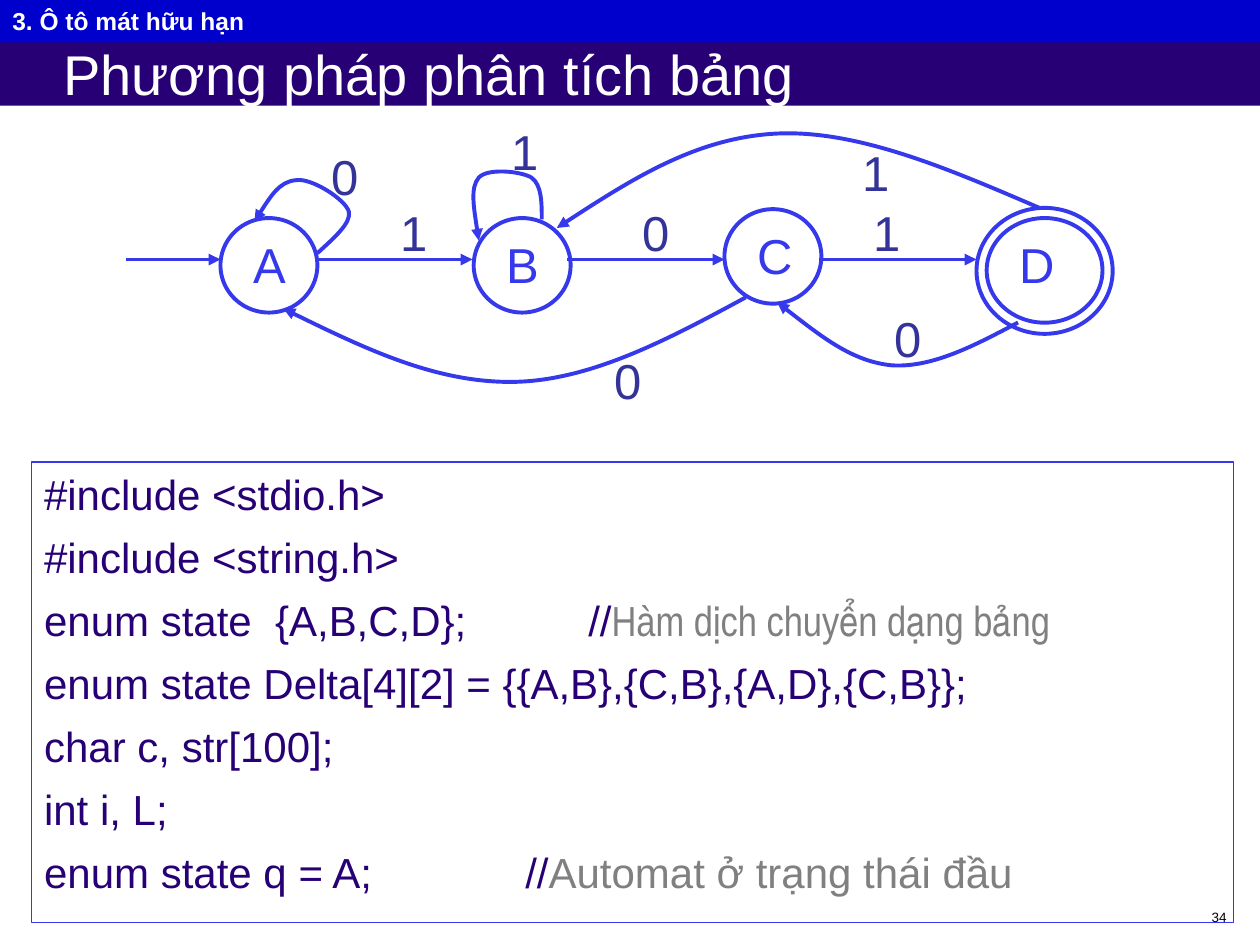
from lxml.etree import SubElement
from pptx import Presentation
from pptx.dml.color import RGBColor
from pptx.enum.shapes import MSO_CONNECTOR, MSO_SHAPE
from pptx.enum.text import MSO_ANCHOR, MSO_AUTO_SIZE, PP_ALIGN
from pptx.oxml.ns import qn
from pptx.util import Pt

COLORS = {
    "banner": "0000CC", "title_bar": "270076", "white": "FFFFFF",
    "line": "3539EB", "symbol": "333399", "code": "270076",
    "comment": "808080", "number": "000000",
}
CODE = [
    [("#include <stdio.h>", "code", "Arial")],
    [("#include <string.h>", "code", "Arial")],
    [("enum state  {A,B,C,D}; \t\t//", "code", "Arial"),
     ("Hàm dịch chuyển dạng bảng", "comment", "Arial Narrow")],
    [("enum state Delta[4][2] = {{A,B},{C,B},{A,D},{C,B}};", "code", "Arial")],
    [("char c, str[100];", "code", "Arial")],
    [("int i, L;", "code", "Arial")],
    [("enum state q = A;\t\t\t//", "code", "Arial"),
     ("Automat ở trạng thái đầu", "comment", "Arial")],
]
# Diagram lengths are points from the diagram's top left corner.
STATES = [  # name, left, top, width, height
    ("A", 54, 58.6, 55.4, 54),
    ("B", 198.7, 58.6, 55.4, 54),
    ("C", 342, 53.5, 55.4, 54),
    ("D", 491.8, 58.6, 66.2, 59.8),
]
FINAL_RING = (486, 52.8, 77.8, 72)
AXIS_Y = 82.3
STRAIGHT_MOVES = [(0, 54)] + [(108 + 144 * i, 198 + 144 * i) for i in range(3)]
SYMBOLS = [
    ("0", 110.2, 13.9), ("1", 213.1, 0.2), ("1", 414, 11.8),
    ("1", 149.8, 46.3), ("0", 288, 46.3), ("1", 419.8, 46.3),
    ("0", 432, 106.8), ("0", 272.2, 130.6),
]
CURVED_MOVES = [  # start, then two control points and an end for each arc
    [(354.2, 103.9), (310.3, 127.7), (265.7, 151.4), (221.8, 152.2),
     (177.8, 152.9), (133.9, 132), (90, 110.4)],
    [(509.8, 118.3), (485.3, 131.3), (460.8, 144.2), (437.8, 142.8),
     (414.7, 140.6), (393.8, 123.4), (372.2, 106.8)],
    [(522, 52.8), (470.2, 30.5), (418.3, 8.2), (372.2, 10.3),
     (326.2, 12.5), (285.8, 38.4), (246.2, 64.3)],
    [(109.4, 78.7), (118.8, 70.1), (128.9, 61.4), (127.4, 55),
     (125.3, 47.8), (105.8, 35.5), (97.2, 37),
     (87.8, 37.7), (80.6, 49.2), (73.4, 60.7)],
    [(237.6, 59.3), (237.6, 49.9), (237.6, 39.8), (231.8, 35.5),
     (226.1, 31.9), (206.6, 29.8), (201.6, 35.5),
     (196.6, 41.3), (199.4, 56.4), (201.6, 71.5)],
]


def rgb(color):
    return RGBColor.from_string(COLORS[color])


def place(part, left, top, width, height):
    part.left, part.top, part.width, part.height = map(Pt, (left, top, width, height))


def write(paragraph, words, size, color, font="Arial", bold=False):
    run = paragraph.add_run()
    run.text = words
    run.font.name, run.font.size, run.font.bold = font, Pt(size), bold
    run.font.color.rgb = rgb(color)


def add_note(shapes, words, box, size, color, align=PP_ALIGN.LEFT):
    note = shapes.add_textbox(*map(Pt, box))
    note.text_frame.word_wrap = True
    paragraph = note.text_frame.paragraphs[0]
    paragraph.alignment = align
    write(paragraph, words, size, color)


def stroke(part, arrow=False):
    part.line.color.rgb = rgb("line")
    part.line.width = Pt(2.25)
    if arrow:
        SubElement(part.line._get_or_add_ln(), qn("a:tailEnd"), type="triangle")


def add_ring(shapes, box):
    ring = shapes.add_shape(MSO_SHAPE.OVAL, *map(Pt, box))
    ring.shadow.inherit = False
    ring.fill.background()
    stroke(ring)


def add_straight_move(shapes, start, end, y):
    move = shapes.add_connector(MSO_CONNECTOR.STRAIGHT, Pt(start), Pt(y), Pt(end), Pt(y))
    stroke(move, arrow=True)
    SubElement(move._element.spPr, qn("a:effectLst"))


def add_curved_move(shapes, points):
    """Draw an arrow along cubic arcs, three points to each arc after the start."""
    start, *rest = [(Pt(x), Pt(y)) for x, y in points]
    builder = shapes.build_freeform(*start)
    builder.add_line_segments(rest, close=False)
    move = builder.convert_to_shape()
    outline = move._element.spPr.find(".//" + qn("a:path"))
    steps = outline.findall(qn("a:lnTo"))
    for first in range(0, len(steps), 3):
        arc = SubElement(outline, qn("a:cubicBezTo"))
        for step in steps[first:first + 3]:
            arc.append(step[0])
            outline.remove(step)
    move.shadow.inherit = False
    move.fill.background()
    stroke(move, arrow=True)


def add_banner(slide, box):
    banner = slide.shapes.add_shape(MSO_SHAPE.RECTANGLE, *map(Pt, box))
    banner.shadow.inherit = False
    banner.fill.solid()
    banner.fill.fore_color.rgb = rgb("banner")
    banner.line.fill.background()
    banner.text_frame.vertical_anchor = MSO_ANCHOR.MIDDLE
    paragraph = banner.text_frame.paragraphs[0]
    paragraph.alignment = PP_ALIGN.LEFT
    write(paragraph, "3. Ô tô mát hữu hạn", 14, "white", bold=True)


def add_title(slide, box):
    title = slide.shapes.title
    place(title, *box)
    title.fill.solid()
    title.fill.fore_color.rgb = rgb("title_bar")
    frame = title.text_frame
    frame.auto_size = MSO_AUTO_SIZE.NONE
    frame.vertical_anchor = MSO_ANCHOR.MIDDLE
    frame.margin_left, frame.margin_top, frame.margin_bottom = Pt(36), 0, 0
    frame.paragraphs[0].alignment = PP_ALIGN.LEFT
    write(frame.paragraphs[0], "Phương pháp phân tích bảng", 32, "white")


def add_code(slide, box):
    listing = slide.placeholders[1]
    place(listing, *box)
    listing.line.color.rgb = rgb("line")
    listing.line.width = Pt(0.75)
    frame = listing.text_frame
    frame.auto_size = MSO_AUTO_SIZE.NONE
    for row, pieces in enumerate(CODE):
        paragraph = frame.add_paragraph() if row else frame.paragraphs[0]
        paragraph.space_before = Pt(7.2 if row else 0)
        layout = paragraph._p.get_or_add_pPr()
        layout.set("marL", str(Pt(23)))
        layout.set("indent", str(Pt(-23)))
        SubElement(layout, qn("a:buNone"))
        stops = SubElement(layout, qn("a:tabLst"))
        for inch in range(8):
            SubElement(stops, qn("a:tab"), pos=str(Pt(72 * inch)), algn="l")
        for words, color, font in pieces:
            write(paragraph, words, 24, color, font)


def add_automaton(slide, left, top):
    shapes = slide.shapes.add_group_shape().shapes
    for name, x, y, width, height in STATES:
        add_ring(shapes, (left + x, top + y, width, height))
        add_note(shapes, name, (left + x + 11.5, top + y + 5.8, width - 18, 41), 28, "line")
    ring_x, ring_y, *ring_size = FINAL_RING
    add_ring(shapes, (left + ring_x, top + ring_y, *ring_size))
    for start, end in STRAIGHT_MOVES:
        add_straight_move(shapes, left + start, left + end, top + AXIS_Y)
    for points in CURVED_MOVES:
        add_curved_move(shapes, [(left + x, top + y) for x, y in points])
    for symbol, x, y in SYMBOLS:
        add_note(shapes, symbol, (left + x, top + y, 18, 41), 28, "symbol")


def main():
    deck = Presentation()
    deck.slide_width, deck.slide_height = Pt(720), Pt(540)
    slide = deck.slides.add_slide(deck.slide_layouts[1])
    add_title(slide, (0, 23, 720, 37.4))
    add_code(slide, (18, 264, 687, 263))
    add_banner(slide, (0, 0, 720, 24.2))
    add_automaton(slide, 72, 66)
    add_note(slide.shapes, "34", (558, 516, 150, 17.3), 7.7, "number", PP_ALIGN.RIGHT)
    deck.save("out.pptx")


if __name__ == "__main__":
    main()
